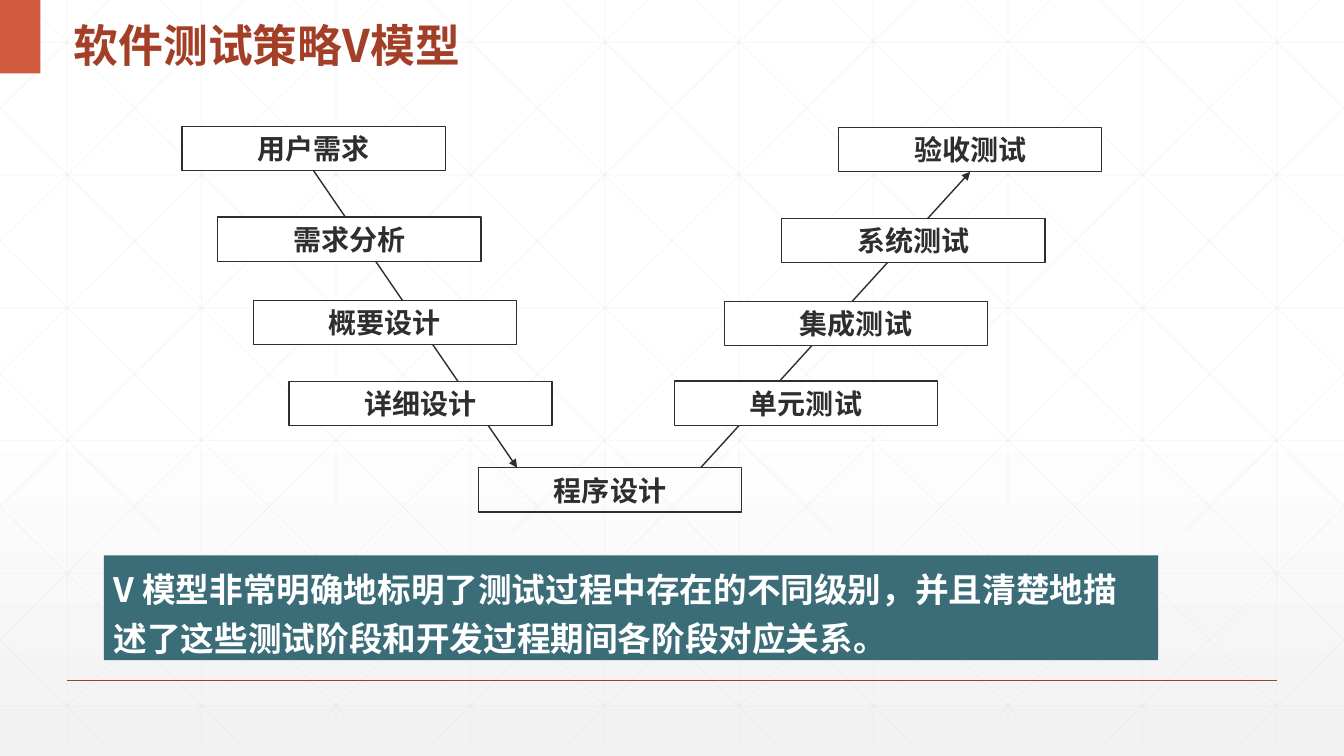
"""Build a slide that shows the V model of software testing."""
from copy import deepcopy
from dataclasses import dataclass
from typing import Optional

from lxml.etree import SubElement
from pptx import Presentation
from pptx.dml.color import RGBColor
from pptx.enum.shapes import MSO_CONNECTOR, MSO_SHAPE
from pptx.enum.text import MSO_ANCHOR, MSO_AUTO_SIZE, PP_ALIGN
from pptx.oxml.ns import qn
from pptx.util import Inches, Length, Pt

WIDTH, HEIGHT = Inches(13.33), Inches(7.5)
COLUMNS = ROWS = 100
COLORS = {
    "title": "A43F27", "marker": "D15A3E", "ink": "2D2E2D", "callout": "3B6D79",
    "white": "FFFFFF", "mesh": "D9D9D9", "haze": "F2F2F2",
}
CHINESE = "Noto Sans CJK SC"
LATIN = "Arial"
BOX_WIDTH, BOX_HEIGHT = 19.58, 5.87
MESH_BOTTOM, DIAGONAL_RUN = 98.27, 55.91
CODE_ROW = 61.87


@dataclass(frozen=True)
class Stage:
    """A labelled box, placed by column and row."""
    label: str
    column: float
    row: float
    fill: Optional[str] = "white"


DESIGN = [
    Stage(label, 13.55 + 2.65 * step, row)
    for step, (label, row) in enumerate([
        ("用户需求", 16.73), ("需求分析", 28.7), ("概要设计", 39.75), ("详细设计", 50.45)])
]
CODING = Stage("程序设计", 35.6, CODE_ROW, None)
TESTING = [
    Stage("验收测试", 62.4, 16.85), Stage("系统测试", 58.17, 28.9),
    Stage("集成测试", 53.9, 39.85), Stage("单元测试", 50.18, 50.4),
]


def across(columns: float) -> Length:
    """Turn grid columns into a length."""
    return Length(round(WIDTH * columns / COLUMNS))


def down(rows: float) -> Length:
    """Turn grid rows into a length."""
    return Length(round(HEIGHT * rows / ROWS))


def color(name: str) -> RGBColor:
    """Look up a named colour."""
    return RGBColor.from_string(COLORS[name])


def set_alpha(element, percent: int) -> None:
    """Give the colour inside an element some transparency."""
    for tint in element.iter(qn("a:srgbClr")):
        SubElement(tint, qn("a:alpha")).set("val", str(percent * 1000))


def write(shape, text: str, *, size: int, ink: str, font: str = CHINESE,
          align=PP_ALIGN.LEFT, anchor=MSO_ANCHOR.MIDDLE, spacing=None) -> None:
    """Put one bold paragraph into a shape."""
    frame = shape.text_frame
    frame.word_wrap = True
    frame.auto_size = MSO_AUTO_SIZE.NONE
    frame.vertical_anchor = anchor
    para = frame.paragraphs[0]
    para.alignment = align
    para.space_before = Pt(0)
    if spacing is not None:
        para.line_spacing = spacing
    span = para.add_run()
    span.text = text
    span.font.name = font
    span.font.size = Pt(size)
    span.font.bold = True
    span.font.color.rgb = color(ink)
    SubElement(span._r.get_or_add_rPr(), qn("a:ea")).set("typeface", CHINESE)


def add_box(page, left: float, top: float, width: float, height: float,
            fill: Optional[str], outline: Optional[str] = None):
    """Draw a rectangle on the grid."""
    box = page.shapes.add_shape(
        MSO_SHAPE.RECTANGLE, across(left), down(top), across(width), down(height))
    box.shadow.inherit = False
    if fill:
        box.fill.solid()
        box.fill.fore_color.rgb = color(fill)
    else:
        box.fill.background()
    if outline:
        box.line.color.rgb = color(outline)
        box.line.width = Pt(1)
    else:
        box.line.fill.background()
    return box


def add_line(page, x1: float, y1: float, x2: float, y2: float, ink: str,
             weight: float = 1, alpha: Optional[int] = None, arrow: bool = False):
    """Draw a straight line on the grid."""
    line = page.shapes.add_connector(
        MSO_CONNECTOR.STRAIGHT, across(x1), down(y1), across(x2), down(y2))
    line.line.color.rgb = color(ink)
    line.line.width = Pt(weight)
    properties = line._element.spPr
    if alpha is not None:
        set_alpha(properties, alpha)
    if arrow:
        SubElement(properties.find(qn("a:ln")), qn("a:tailEnd")).set("type", "triangle")
    SubElement(properties, qn("a:effectLst"))
    return line


def add_stage(page, stage: Stage):
    """Draw one stage of the model."""
    box = add_box(page, stage.column, stage.row, BOX_WIDTH, BOX_HEIGHT, stage.fill, "ink")
    write(box, stage.label, size=20, ink="ink", font=LATIN, align=PP_ALIGN.CENTER)
    return box


def paint_background(page) -> None:
    """Fade the page from white to light grey."""
    fill = page.background.fill
    fill.gradient()
    fill.gradient_angle = 270
    first, last = fill.gradient_stops
    for stop, name, position in ((first, "white", 0), (last, "haze", 1)):
        stop.color.rgb = color(name)
        stop.position = position
    start, end = page._element.iter(qn("a:gs"))
    middle = deepcopy(start)
    middle.set("pos", "53000")
    start.addnext(middle)
    set_alpha(end, 65)


def draw_mesh(page) -> None:
    """Draw the faint grid with its crossing diagonals."""
    segments = [(5 + 10 * i, 0, 5 + 10 * i, MESH_BOTTOM) for i in range(10)]
    segments += [(0, 5.6 + 17.55 * i, COLUMNS, 5.6 + 17.55 * i) for i in range(6)]
    slope = DIAGONAL_RUN / MESH_BOTTOM
    for step in range(-5, 10):
        origin = 1.85 + 10 * step
        top = max(0, -origin / slope)
        bottom = min(MESH_BOTTOM, (COLUMNS - origin) / slope)
        x1, x2 = origin + slope * top, origin + slope * bottom
        segments += [(x1, top, x2, bottom), (COLUMNS - x1, top, COLUMNS - x2, bottom)]
    for segment in segments:
        add_line(page, *segment, "mesh", weight=0.5, alpha=25)


def draw_model(page) -> None:
    """Draw both arms of the V and the boxes over them."""
    rising = add_line(page, 52.13, CODE_ROW, 72.19, 22.72, "ink", arrow=True)
    falling = add_line(page, 23.34, 22.6, 38.48, CODE_ROW, "ink", arrow=True)
    design = [add_stage(page, stage) for stage in DESIGN]
    add_stage(page, CODING)
    testing = [add_stage(page, stage) for stage in TESTING]
    falling.begin_connect(design[0], 2)
    rising.end_connect(testing[0], 2)


def main() -> None:
    """Build and save the deck."""
    deck = Presentation()
    deck.slide_width, deck.slide_height = WIDTH, HEIGHT
    page = deck.slides.add_slide(deck.slide_layouts[5])
    title = page.shapes.title
    paint_background(page)
    draw_mesh(page)
    add_line(page, 5, 90, 95, 90, "title")
    add_box(page, 0, 0, 3, 9.73, "marker")
    title.left, title.top = across(4.73), down(0)
    title.width, title.height = across(42.68), down(9.73)
    write(title, "软件测试策略V模型", size=32, ink="title", spacing=1.3)
    title.element.getparent().append(title.element)
    draw_model(page)
    callout = add_box(page, 7.73, 73.47, 78.45, 13.87, "callout")
    write(callout, "V 模型非常明确地标明了测试过程中存在的不同级别，并且清楚地描述了这些测试阶段和开发过程期间各阶段对应关系。",
          size=24, ink="white", anchor=MSO_ANCHOR.TOP, spacing=Pt(35))
    deck.save("out.pptx")


if __name__ == "__main__":
    main()
